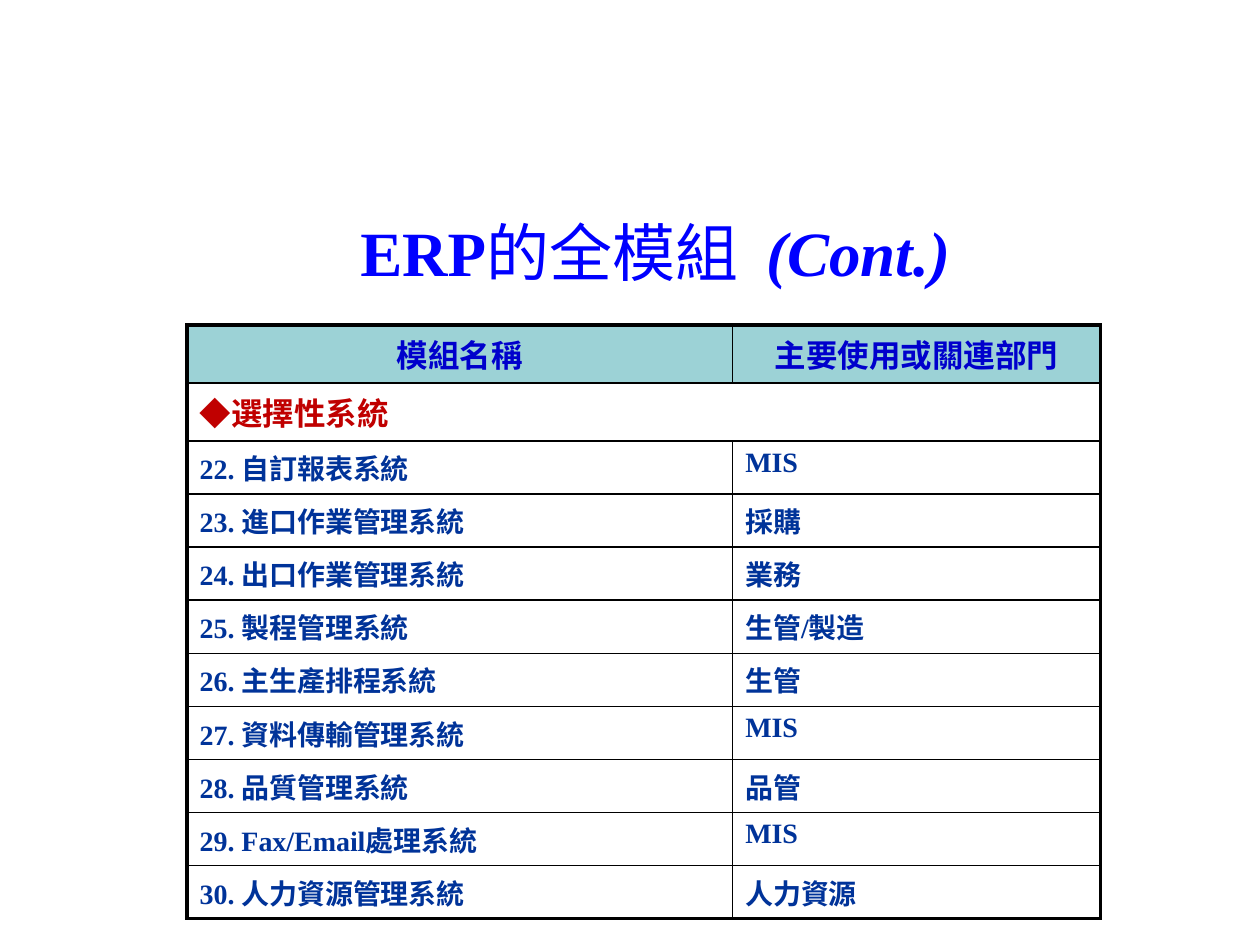
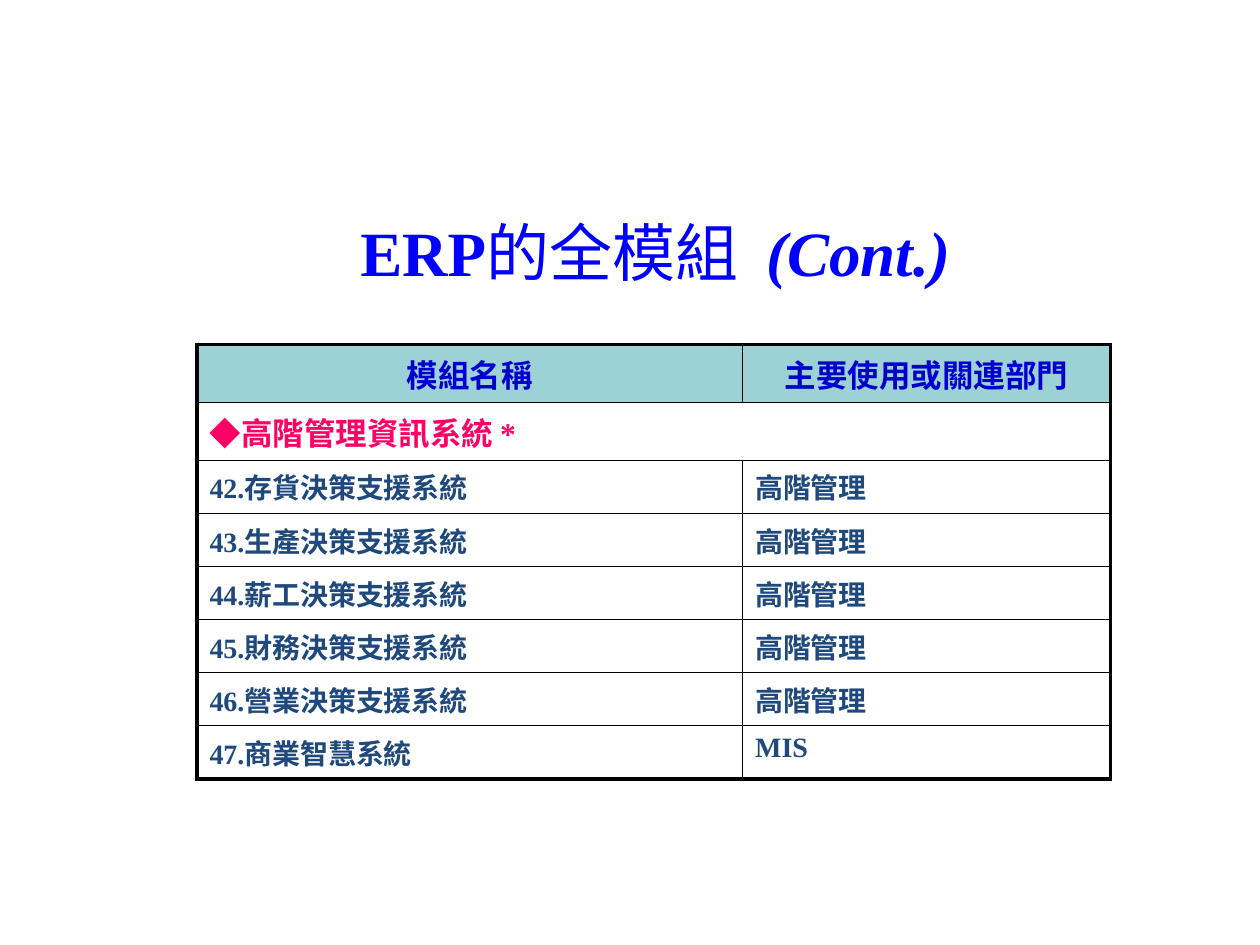
from lxml import etree
from pptx import Presentation
from pptx.dml.color import RGBColor
from pptx.enum.text import MSO_ANCHOR, MSO_AUTO_SIZE, PP_ALIGN
from pptx.oxml.ns import qn
from pptx.util import Cm, Pt

CENTER, LEFT, JUSTIFY = PP_ALIGN.CENTER, PP_ALIGN.LEFT, PP_ALIGN.JUSTIFY
MIDDLE = MSO_ANCHOR.MIDDLE
GROW = MSO_AUTO_SIZE.SHAPE_TO_FIT_TEXT
TITLE_ONLY = 5

FONT = "Times New Roman"
COLORS = {
    "title": "0000FF", "header": "0000CC", "band": "9CD2D6",
    "paper": "FFFFFF", "border": "000000",
    "optional": "C00000", "executive": "FF0066",
    "optional_row": "003399", "executive_row": "1F497D",
}
THIN, THICK = Pt(1), Pt(2.25)
COLUMN_WIDTHS = (Cm(11), Cm(7.42))
HEAD_HEIGHT, ROW_HEIGHT = Cm(1.17), Cm(1.07)

# Title spans: text, bold, italic
TITLE = (("ERP", True, False), ("的全模組  ", False, False), ("(Cont.)", True, True))
HEADERS = ("模組名稱", "主要使用或關連部門")

OPTIONAL_MODULES = (
    ("22. 自訂報表系統", "MIS"),
    ("23. 進口作業管理系統", "採購"),
    ("24. 出口作業管理系統", "業務"),
    ("25. 製程管理系統", "生管/製造"),
    ("26. 主生產排程系統", "生管"),
    ("27. 資料傳輸管理系統", "MIS"),
    ("28. 品質管理系統", "品管"),
    ("29. Fax/Email處理系統", "MIS"),
    ("30. 人力資源管理系統", "人力資源"),
)
EXECUTIVE_MODULES = (
    ("42.存貨決策支援系統", "高階管理"),
    ("43.生產決策支援系統", "高階管理"),
    ("44.薪工決策支援系統", "高階管理"),
    ("45.財務決策支援系統", "高階管理"),
    ("46.營業決策支援系統", "高階管理"),
    ("47.商業智慧系統", "MIS"),
)


class ModuleDeck:
    """Holds the shared style and the current page."""

    def __init__(self):
        self.deck = Presentation()
        self.deck.slide_width, self.deck.slide_height = Cm(25.4), Cm(19.05)
        self.page = None

    def add_page(self):
        self.page = self.deck.slides.add_slide(self.deck.slide_layouts[TITLE_ONLY])

    def style(self, span, size, color, bold=True, italic=False):
        font = span.font
        font.name, font.size = FONT, Pt(size)
        font.bold, font.italic = bold, italic
        font.color.rgb = RGBColor.from_string(COLORS[color])

    def title(self):
        box = self.page.shapes.title
        box.left, box.top, box.width, box.height = Cm(5.16), Cm(4.17), Cm(16.1), Cm(1.8)
        frame = box.text_frame
        frame.word_wrap, frame.auto_size = True, GROW
        frame.vertical_anchor = MIDDLE
        para = frame.paragraphs[0]
        para.alignment = CENTER
        for text, bold, italic in TITLE:
            span = para.add_run()
            span.text = text
            self.style(span, 36, "title", bold, italic)

    def fill_cell(self, cell, text, size, color, alignment, fill=None):
        cell.text_frame.text = text
        para = cell.text_frame.paragraphs[0]
        para.alignment = alignment
        for span in para.runs:
            self.style(span, size, color)
        if fill:
            cell.fill.solid()
            cell.fill.fore_color.rgb = RGBColor.from_string(COLORS[fill])
        else:
            cell.fill.background()

    def border_cell(self, cell, outer_sides):
        properties = cell._tc.get_or_add_tcPr()
        for index, side in enumerate("LRTB"):
            width = THICK if side in outer_sides else THIN
            line = etree.Element(qn(f"a:ln{side}"), w=str(width))
            solid = etree.SubElement(line, qn("a:solidFill"))
            etree.SubElement(solid, qn("a:srgbClr"), val=COLORS["border"])
            properties.insert(index, line)

    def module_table(self, left, top, group, group_color, modules, row_color):
        count = len(modules) + 2
        height = 2 * HEAD_HEIGHT + len(modules) * ROW_HEIGHT
        table = self.page.shapes.add_table(
            count, 2, left, top, sum(COLUMN_WIDTHS), height).table
        table.horz_banding = False
        for column, width in zip(table.columns, COLUMN_WIDTHS):
            column.width = width
        for index, row in enumerate(table.rows):
            row.height = HEAD_HEIGHT if index < 2 else ROW_HEIGHT

        # Header, merged group row, then one row per module
        for column, text in enumerate(HEADERS):
            self.fill_cell(table.cell(0, column), text, 18, "header", CENTER, "band")
        table.cell(1, 0).merge(table.cell(1, 1))
        self.fill_cell(table.cell(1, 0), group, 18, group_color, LEFT)
        for index, module in enumerate(modules, start=2):
            for column, text in enumerate(module):
                self.fill_cell(table.cell(index, column), text, 16, row_color,
                               JUSTIFY, "paper")

        # Thick frame outside, thin grid inside
        for index in range(count):
            for column in range(2):
                cell = table.cell(index, column)
                sides = "R" if column or cell.is_merge_origin else ""
                sides += "" if column else "L"
                sides += {0: "T", count - 1: "B"}.get(index, "")
                self.border_cell(cell, sides)


def main():
    builder = ModuleDeck()

    # Optional systems
    builder.add_page()
    builder.title()
    builder.module_table(Cm(3.77), Cm(6.55), "◆選擇性系統", "optional",
                         OPTIONAL_MODULES, "optional_row")

    # Executive information systems
    builder.add_page()
    builder.title()
    builder.module_table(Cm(3.97), Cm(6.94), "◆高階管理資訊系統 *", "executive",
                         EXECUTIVE_MODULES, "executive_row")

    builder.deck.save("out.pptx")


if __name__ == "__main__":
    main()
